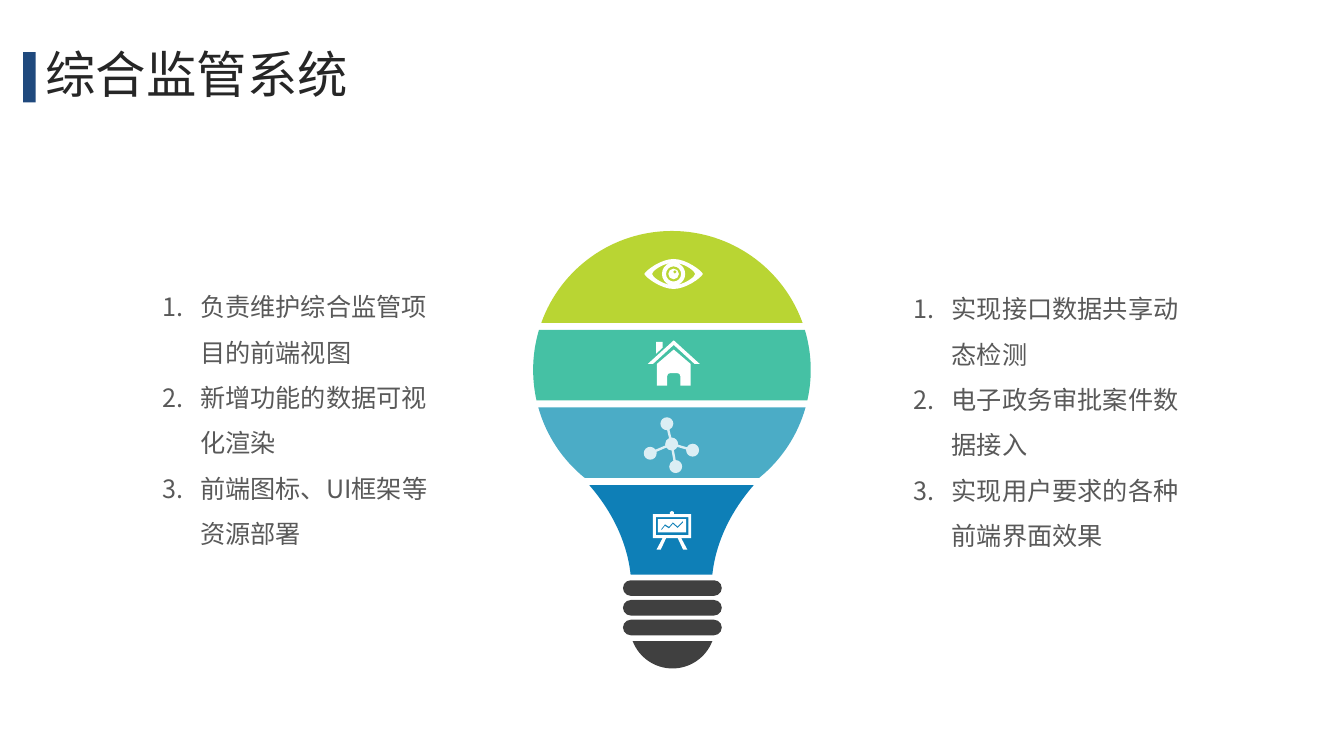
import math
from dataclasses import dataclass

from lxml import etree
from pptx import Presentation
from pptx.dml.color import RGBColor
from pptx.enum import shapes, text
from pptx.oxml import ns
from pptx.util import Pt


@dataclass(frozen=True)
class Theme:
    font: str = "Noto Sans CJK SC"
    title_size: int = 36
    body_size: int = 18
    title: str = "262626"
    body: str = "595959"
    accent: str = "1F497D"
    lime: str = "B9D533"
    green: str = "45C1A4"
    sky: str = "4BACC6"
    blue: str = "0E7FB7"
    socket: str = "404040"
    icon: str = "FFFFFF"
    molecule: str = "DBEEF4"


THEME = Theme()

LEFT_DUTIES = ["负责维护综合监管项目的前端视图", "新增功能的数据可视化渲染", "前端图标、UI框架等资源部署"]
RIGHT_DUTIES = ["实现接口数据共享动态检测", "电子政务审批案件数据接入", "实现用户要求的各种前端界面效果"]


def bezier(start, control_1, control_2, end):
    """Curve as outline points; a third item marks the two control points."""
    return [start, (*control_1, True), (*control_2, True), end]


def arc(center_x, center_y, radius, start, end):
    """Arc of growing angle, cut where it crosses the axes."""
    quarter = math.pi / 2
    crossings = range(math.floor(start / quarter) + 1, math.ceil(end / quarter))
    angles = [start, *(quarter * i for i in crossings), end]

    def at(angle, tangent=0.0):
        return (center_x + radius * (math.cos(angle) - tangent * math.sin(angle)),
                center_y + radius * (math.sin(angle) + tangent * math.cos(angle)))

    points = []
    for a, b in zip(angles, angles[1:]):
        reach = 4 / 3 * math.tan((b - a) / 4)
        points += bezier(at(a), at(a, reach), at(b, -reach), at(b))
    return points


def circle(center_x, center_y, radius):
    return arc(center_x, center_y, radius, 0, 2 * math.pi)


def box(left, top, right, bottom):
    return [(left, top), (right, top), (right, bottom), (left, bottom)]


def mirror_x(points, axis):
    """Reflect points left to right, in reverse order so that outlines join up."""
    return [(2 * axis - x, *rest) for x, *rest in reversed(points)]


def mirror_y(points, axis):
    return [(x, 2 * axis - y, *rest) for x, y, *rest in reversed(points)]


def circle_band(center_x, center_y, radius, top, bottom):
    """Outline of the part of a circle between two heights."""
    start, end = (math.asin(max(-1, min(1, (y - center_y) / radius))) for y in (top, bottom))
    right = arc(center_x, center_y, radius, start, end)
    return right + mirror_x(right, center_x)


def paint(shape, color):
    shape.shadow.inherit = False
    shape.fill.solid()
    shape.fill.fore_color.rgb = RGBColor.from_string(color)
    shape.line.fill.background()


def without_repeats(contour):
    rounded = [(round(x, 2), round(y, 2), *mark) for x, y, *mark in contour]
    return [p for i, p in enumerate(rounded) if i == 0 or p != rounded[i - 1]]


def bend_segments(shape, marks):
    """Turn each run of two control points and an end point into one curve."""
    segments = list(shape._element.iter(ns.qn("a:lnTo")))
    i = 0
    while i < len(segments):
        if not marks[i]:
            i += 1
            continue
        curve = etree.Element(ns.qn("a:cubicBezTo"))
        segments[i].addprevious(curve)
        for segment in segments[i:i + 3]:
            curve.append(segment[0])
            segment.getparent().remove(segment)
        i += 3


def add_outline(container, contours, color):
    """Add one filled freeform; inner contours cut holes."""
    contours = [without_repeats(contour) for contour in contours]
    rings = [[(Pt(p[0]), Pt(p[1])) for p in contour] for contour in contours]
    builder = container.build_freeform(*rings[0][0], scale=1.0)
    builder.add_line_segments(rings[0][1:], close=True)
    for ring in rings[1:]:
        builder.move_to(*ring[0])
        builder.add_line_segments(ring[1:], close=True)
    shape = builder.convert_to_shape()
    bend_segments(shape, [len(p) == 3 for contour in contours for p in contour[1:]])
    paint(shape, color)


def add_block(container, kind, left, top, width, height, color):
    shape = container.add_shape(kind, Pt(left), Pt(top), Pt(width), Pt(height))
    paint(shape, color)
    return shape


def add_text(slide, lines, left, top, width, height, size, color):
    frame = slide.shapes.add_textbox(Pt(left), Pt(top), Pt(width), Pt(height)).text_frame
    frame.word_wrap = True
    frame.text = "\n".join(lines)
    for paragraph in frame.paragraphs:
        for run in paragraph.runs:
            run.font.name = THEME.font
            run.font.size = Pt(size)
            run.font.color.rgb = RGBColor.from_string(color)
            etree.SubElement(run.font._element, ns.qn("a:ea"), typeface=THEME.font)
    return frame


def add_title(slide, title):
    frame = add_text(slide, [title], 25.5, 26.6, 911.5, 56.9, THEME.title_size, THEME.title)
    frame.vertical_anchor = text.MSO_ANCHOR.MIDDLE
    frame.paragraphs[0].line_spacing = 0.9
    frame.paragraphs[0].space_before = Pt(10)
    add_block(slide.shapes, shapes.MSO_SHAPE.RECTANGLE, 16.5, 37.2, 9, 36, THEME.accent)


def add_numbered_list(slide, lines, left, top):
    frame = add_text(slide, lines, left, top, 207.4, 199, THEME.body_size, THEME.body)
    frame.auto_size = text.MSO_AUTO_SIZE.SHAPE_TO_FIT_TEXT
    for paragraph in frame.paragraphs:
        paragraph.line_spacing = 1.5
        properties = paragraph._p.get_or_add_pPr()
        properties.set("marL", str(Pt(27)))
        properties.set("indent", str(Pt(-27)))
        etree.SubElement(properties, ns.qn("a:buAutoNum"), type="arabicPeriod")


def add_bulb(slide):
    bulb = slide.shapes.add_group_shape().shapes
    for top, bottom, color in ((165, 230.6, THEME.lime), (235.6, 286, THEME.green),
                               (291, 341.3, THEME.sky)):
        add_outline(bulb, [circle_band(480.2, 264.2, 99.2, top, bottom)], color)
    neck = bezier((421.2, 346.6), (443.5, 372.2), (449.3, 396.7), (450.7, 410.4))
    add_outline(bulb, [neck + mirror_x(neck, 479.9)], THEME.blue)
    for i in range(3):
        thread = add_block(bulb, shapes.MSO_SHAPE.ROUNDED_RECTANGLE,
                           445.2, 414.5 + 14.1 * i, 70.6, 11.1, THEME.socket)
        thread.adjustments[0] = 0.5
    add_outline(bulb, [circle_band(480.6, 447, 30.5, 458, 477.5)], THEME.socket)


def add_eye(slide):
    x, y = 481.4, 195.7
    quarter = bezier((x, 185), (490.3, 185), (501.1, 193), (502.3, y))
    right_half = quarter + mirror_y(quarter, y)
    lid = right_half + mirror_x(right_half, x)
    iris_edge = arc(x, y, 8.3, math.radians(-70), math.radians(70))
    lower = bezier(iris_edge[-1], (491, 202), (496.8, 197.5), (496.8, y))
    corner = iris_edge + lower + mirror_y(lower, y)
    add_outline(slide.shapes, [lid, corner, mirror_x(corner, x), circle(x, y, 5.4),
                               circle(x, y, 3.8), circle(x + 0.9, y - 1.5, 1.3)], THEME.icon)


def add_house(slide):
    x = 481.5
    door = [(x + 4.7, 275.5)] + bezier((x + 4.7, 268.7), (x + 4.7, 267.3),
                                      (x + 3.8, 266.5), (x + 2.4, 266.5))
    wall = [(x, 249.7), (x + 12, 259.9), (x + 12, 275.5)] + door
    roof = [(x, 243.1), (x + 18.5, 259.9), (x + 14.8, 259.9), (x, 246.4)]
    chimney = [(468.9, 244.2), (473.6, 244.2), (473.6, 248.3), (468.9, 252.6)]
    add_outline(slide.shapes, [wall + mirror_x(wall, x), roof + mirror_x(roof, x), chimney],
                THEME.icon)


def add_molecule(slide):
    hub_x, hub_y, radius = 480, 317.2, 4.6
    atoms = [(476.6, 302.7), (495, 321.6), (482.9, 333.3), (464.7, 323.8)]
    half_link = math.asin(0.85 / radius)
    angles = [math.atan2(y - hub_y, x - hub_x) for x, y in atoms]
    outline = []
    for i, ((x, y), angle) in enumerate(zip(atoms, angles)):
        outline += arc(x, y, radius, angle + math.pi + half_link, angle + 3 * math.pi - half_link)
        gap = (angles[(i + 1) % len(angles)] - angle) % (2 * math.pi)
        outline += arc(hub_x, hub_y, radius, angle + half_link, angle + gap - half_link)
    add_outline(slide.shapes, [outline], THEME.molecule)


def add_chart_board(slide):
    x = 480.2
    right = [(x, 365), (x + 1.4, 365.8), (x + 1.4, 367.2), (x + 13.7, 367.2), (x + 13.7, 384.5),
             (x + 6.7, 384.5), (x + 11, 392.6), (x + 8, 392.6), (x + 4.2, 384.5)]
    trend = [(472.7, 378.4), (475.2, 375.1), (478.1, 376.9),
             (480.9, 373.7), (484.2, 376.6), (488.2, 372.6)]
    trend_band = ([(a, b - 0.6) for a, b in trend]
                  + [(a, b + 0.6) for a, b in reversed(trend)])
    add_outline(slide.shapes, [right + mirror_x(right, x), box(468.7, 369.4, 491.9, 382.3),
                               box(470.2, 370.8, 490.4, 380.4), trend_band], THEME.icon)


def main():
    presentation = Presentation()
    presentation.slide_width, presentation.slide_height = Pt(960.5), Pt(540)
    slide = presentation.slides.add_slide(presentation.slide_layouts[6])
    add_title(slide, "综合监管系统")
    add_bulb(slide)
    add_numbered_list(slide, RIGHT_DUTIES, 646.1, 195.4)
    add_numbered_list(slide, LEFT_DUTIES, 109, 194)
    for add_icon in (add_chart_board, add_molecule, add_house, add_eye):
        add_icon(slide)
    presentation.save("out.pptx")


if __name__ == "__main__":
    main()
